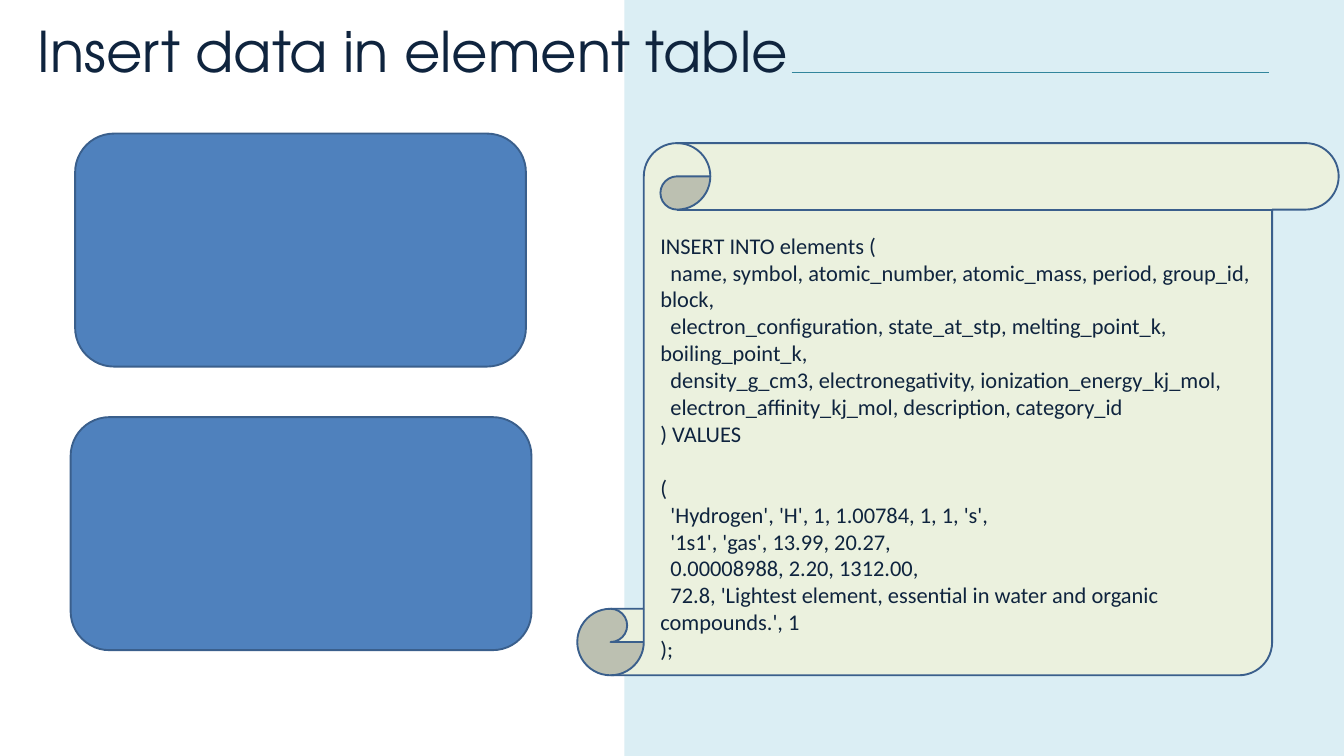
from dataclasses import dataclass

from pptx import Presentation
from pptx.dml.color import RGBColor as Rgb
from pptx.enum.shapes import MSO_CONNECTOR as Connector, MSO_SHAPE as Shape
from pptx.enum.text import MSO_ANCHOR as Anchor, MSO_AUTO_SIZE as AutoSize, PP_ALIGN as Align
from pptx.oxml.ns import qn
from pptx.util import Cm, Pt


@dataclass(frozen=True)
class Theme:
    ink: Rgb = Rgb(0x0F, 0x24, 0x3E)
    panel: Rgb = Rgb(0xDB, 0xEE, 0xF4)
    scroll: Rgb = Rgb(0xEB, 0xF1, 0xDE)
    card: Rgb = Rgb(0x4F, 0x81, 0xBD)
    outline: Rgb = Rgb(0x3A, 0x5F, 0x8C)
    rule: Rgb = Rgb(0x31, 0x85, 0x9C)
    title_font: str = "TeX Gyre Adventor"
    code_font: str = "Calibri"
    title_size: Pt = Pt(60)
    code_size: Pt = Pt(24)
    line_width: Pt = Pt(2)


THEME = Theme()
SLIDE_WIDTH, SLIDE_HEIGHT = Cm(50.8), Cm(28.58)

TITLE = "Insert data in element table"
# Each block is one part of the statement; a blank line's gap separates them
SQL_BLOCKS = [
    """INSERT INTO elements (
  name, symbol, atomic_number, atomic_mass, period, group_id, block,
  electron_configuration, state_at_stp, melting_point_k, boiling_point_k,
  density_g_cm3, electronegativity, ionization_energy_kj_mol,
  electron_affinity_kj_mol, description, category_id
) VALUES""",
    """(
  'Hydrogen', 'H', 1, 1.00784, 1, 1, 's',
  '1s1', 'gas', 13.99, 20.27,
  0.00008988, 2.20, 1312.00,
  72.8, 'Lightest element, essential in water and organic compounds.', 1
);""",
]


def apply_format(target, values):
    for name, value in values.items():
        setattr(target, name, value)


def style_font(font, name, size):
    apply_format(font, {"name": name, "size": size, "bold": False})
    font.color.rgb = THEME.ink


def add_block(slide, kind, left, top, width, height, fill, outlined=True):
    block = slide.shapes.add_shape(kind, left, top, width, height)
    block.shadow.inherit = False
    block.fill.solid()
    block.fill.fore_color.rgb = fill
    if outlined:
        block.line.color.rgb = THEME.outline
        block.line.width = THEME.line_width
    else:
        block.line.fill.background()


def add_rule(slide, start, end, y):
    rule = slide.shapes.add_connector(Connector.STRAIGHT, start, y, end, y)
    rule.line.color.rgb = THEME.rule
    rule.line.width = THEME.line_width
    properties = rule.element.spPr
    properties.append(properties.makeelement(qn("a:effectLst"), {}))


def set_title(slide):
    title = slide.shapes.title
    apply_format(title, {"left": Cm(0), "top": Cm(0.5), "width": Cm(39.37), "height": Cm(2.82)})
    frame = title.text_frame
    frame.text = TITLE
    apply_format(frame, {
        "margin_left": Cm(1.42), "word_wrap": True,
        "vertical_anchor": Anchor.TOP, "auto_size": AutoSize.NONE,
    })
    heading = frame.paragraphs[0]
    heading.alignment = Align.LEFT
    style_font(heading.runs[0].font, THEME.title_font, THEME.title_size)
    # Bring the title in front of the side panel
    title.element.getparent().append(title.element)


def add_code(slide, left, top, width, height):
    frame = slide.shapes.add_textbox(left, top, width, height).text_frame
    apply_format(frame, {"word_wrap": True, "vertical_anchor": Anchor.TOP})
    frame.text = "\n".join(SQL_BLOCKS)
    for statement in frame.paragraphs:
        style_font(statement.runs[0].font, THEME.code_font, THEME.code_size)
    values_start = len(SQL_BLOCKS[0].splitlines())
    frame.paragraphs[values_start].space_before = Pt(29)


def main():
    deck = Presentation()
    apply_format(deck, {"slide_width": SLIDE_WIDTH, "slide_height": SLIDE_HEIGHT})
    slide = deck.slides.add_slide(deck.slide_layouts[5])

    # Side panel and scroll
    panel_left = Cm(23.6)
    add_block(slide, Shape.RECTANGLE, panel_left, 0, SLIDE_WIDTH - panel_left,
              SLIDE_HEIGHT, THEME.panel, outlined=False)
    add_block(slide, Shape.VERTICAL_SCROLL, Cm(21.82), Cm(5.41), Cm(28.78), Cm(20.12), THEME.scroll)

    # Heading with its rule
    add_rule(slide, Cm(29.92), Cm(47.96), Cm(2.74))
    set_title(slide)

    # SQL statement
    add_code(slide, Cm(24.71), Cm(8.64), Cm(23.16), Cm(18.21))

    # Cards on the left
    for left, top, width in ((2.84, 5.05, 17.04), (2.67, 15.77, 17.42)):
        add_block(slide, Shape.ROUNDED_RECTANGLE, Cm(left), Cm(top), Cm(width), Cm(8.81), THEME.card)

    deck.save("out.pptx")


if __name__ == "__main__":
    main()
